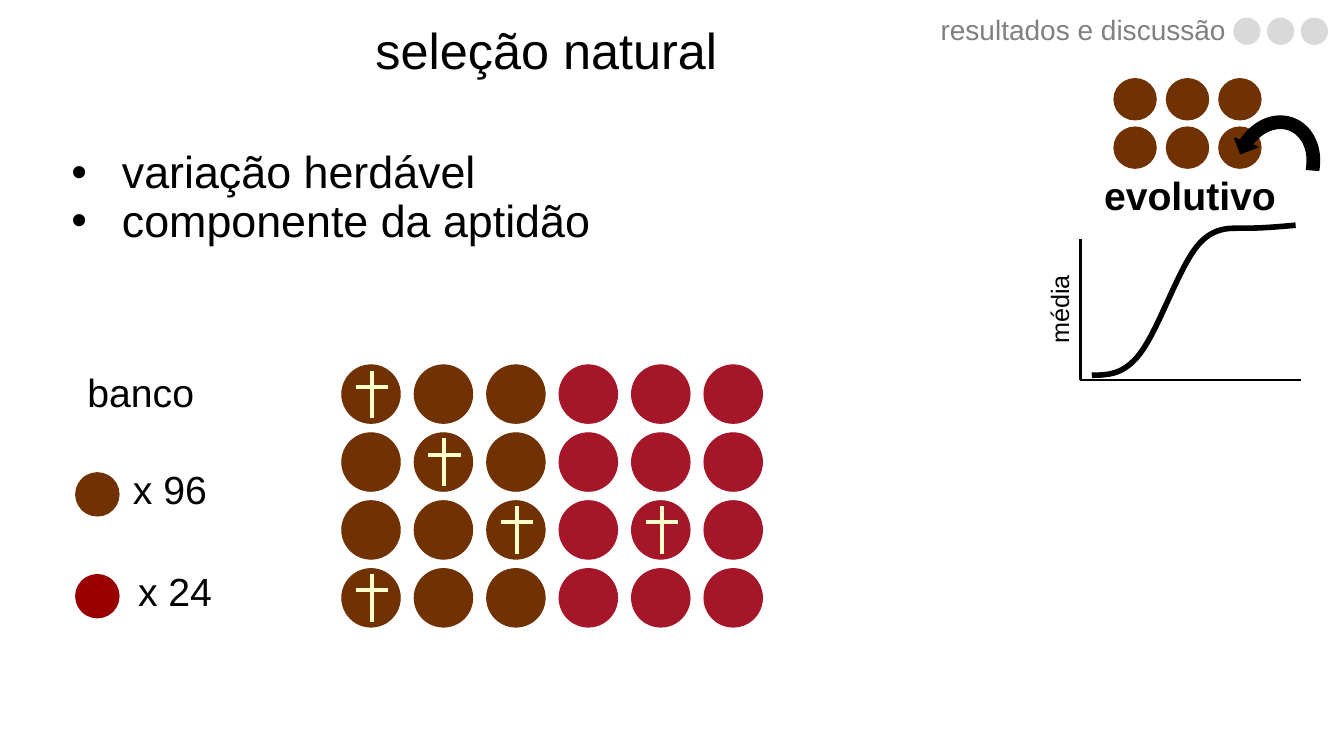
"""Build the natural selection slide on a 100 by 100 grid of columns and rows."""
from pptx import Presentation
from pptx import util as u
from pptx.chart.data import CategoryChartData
from pptx.dml.color import RGBColor
from pptx.enum import chart as ch, shapes, text
from pptx.oxml import parse_xml
from pptx.oxml.ns import nsdecls, qn

W, H = u.Inches(13.333), u.Inches(7.5)
C = {"black": "000000", "gray": "808080", "dot": "D9D9D9", "brown": "703103",
     "red": "A51628", "dark_red": "990000", "cream": "FFFFCC"}
SEED_LEFT, SEED_TOP, SEED_DX, SEED_DY = 25.43, 48.27, 5.39, 8.98
DEAD = [(0, 0), (1, 1), (2, 2), (4, 2), (0, 3)]


def rgb(name):
    return RGBColor.from_string(C[name])


def box(x, y, w, h):
    return round(x * W / 100), round(y * H / 100), round(w * W / 100), round(h * H / 100)


def shape(s, kind, place, color, width=0):
    sp = s.shapes.add_shape(kind, *box(*place))
    sp.shadow.inherit = False
    sp.fill.solid()
    sp.fill.fore_color.rgb = sp.line.color.rgb = rgb(color)
    sp.line.width = u.Pt(width)
    return sp


def dots(s, left, top, size, pitch, rows):
    for j, row in enumerate(rows):
        for i, color in enumerate(row):
            place = (left + i * pitch[0], top + j * pitch[1], *size)
            shape(s, shapes.MSO_SHAPE.OVAL, place, color)


def line(s, x1, y1, x2, y2, color="black", width=2):
    ends = box(x1, y1, x2, y2)
    cn = s.shapes.add_connector(shapes.MSO_CONNECTOR.STRAIGHT, *ends)
    cn.line.color.rgb = rgb(color)
    cn.line.width = u.Pt(width)
    cn.element.spPr.append(parse_xml(f"<a:effectLst {nsdecls('a')}/>"))


def cross(s, col, row):
    x = SEED_LEFT + col * SEED_DX + 2.25
    y = SEED_TOP + row * SEED_DY + 0.75
    line(s, x, y, x, y + 6.33, "cream", 2.83)
    line(s, x - 1.2, y + 2.13, x + 1.2, y + 2.13, "cream", 2.83)


def label(s, place, words, size=28, color="black", bold=False, align="CENTER",
          anchor="MIDDLE", spacing=0.9, rotation=0, bullet=False):
    tb = s.shapes.add_textbox(*box(*place))
    tb.rotation = rotation
    tf = tb.text_frame
    tf.word_wrap = True
    tf.vertical_anchor = text.MSO_ANCHOR[anchor]
    tf.text = words
    for p in tf.paragraphs:
        p.alignment = text.PP_ALIGN[align]
        p.line_spacing = spacing
        if bullet:
            pPr = p._p.get_or_add_pPr()
            pPr.set("marL", str(u.Inches(0.5)))
            pPr.set("indent", str(-u.Inches(0.5)))
            pPr.append(parse_xml(f'<a:buFont {nsdecls("a")} typeface="Arial"/>'))
            pPr.append(parse_xml(f'<a:buChar {nsdecls("a")} char="•"/>'))
        for r in p.runs:
            r.font.name, r.font.size, r.font.bold = "Arial", u.Pt(size), bold
            r.font.color.rgb = rgb(color)
    return tf


def curve(s, place, values):
    data = CategoryChartData()
    data.categories = [str(i + 1) for i in range(len(values))]
    data.add_series("Series 1", values)
    chart = s.shapes.add_chart(ch.XL_CHART_TYPE.LINE, *box(*place), data).chart
    chart.has_legend = chart.has_title = False
    chart.font.name, chart.font.size = "Calibri", u.Pt(10)
    chart.font.color.rgb = rgb("black")
    chart.value_axis.minimum_scale, chart.value_axis.maximum_scale = 0, 110
    chart.value_axis.has_major_gridlines = False
    chart.value_axis.visible = chart.category_axis.visible = False
    plot = chart.plots[0]
    plot.vary_by_categories = False
    ser = plot.series[0]
    ser.smooth = True
    ser.marker.style = ch.XL_MARKER_STYLE.NONE
    ser.format.line.color.rgb = rgb("black")
    ser.format.line.width = u.Pt(4)
    area = chart._chartSpace.chart.plotArea
    for old in area.findall(qn("c:layout")):
        area.remove(old)
    sides = "".join(f'<c:{k} val="{v}"/>' for k, v in
                    [("x", 0.04), ("y", 0.07), ("w", 0.94), ("h", 0.91)])
    area.insert(0, parse_xml(
        f'<c:layout {nsdecls("c")}><c:manualLayout><c:layoutTarget val="inner"/>'
        f'<c:xMode val="edge"/><c:yMode val="edge"/>{sides}</c:manualLayout></c:layout>'))


def return_arrow(s, place):
    sp = shape(s, shapes.MSO_SHAPE.CIRCULAR_ARROW, place, "black", 1)
    for i, value in enumerate([0.125, 11.42319, 204.57681, 117.73, 0.125]):
        sp.adjustments[i] = value
    sp.rotation = 200.9
    sp.element.spPr.xfrm.set("flipV", "1")


def main():
    prs = Presentation()
    prs.slide_width, prs.slide_height = W, H
    s = prs.slides.add_slide(prs.slide_layouts[6])

    dots(s, 82.88, 10.4, (3.15, 5.47), (3.9, 6.4), [["brown"] * 3] * 2)
    return_arrow(s, (91.2, 14.4, 7.35, 15.33))
    label(s, (78.15, 16.53, 20.78, 19.33), "evolutivo", bold=True)
    curve(s, (78.53, 26.13, 20.18, 24), [0, 17, 83, 98, 100])
    line(s, 80.35, 50.27, 96.8, 50.27)
    line(s, 80.4, 31.6, 80.4, 50.27)
    tf = label(s, (71.4, 37.47, 14.78, 6.93), "média", 18, anchor="TOP", spacing=1, rotation=270)
    tf.margin_left = tf.margin_right = u.Inches(0.16)
    tf.margin_top = tf.margin_bottom = u.Inches(0.11)

    label(s, (58.35, 1.07, 33.6, 6.27), "resultados e discussão", 20, "gray", align="RIGHT")
    dots(s, 91.8, 2.4, (1.95, 3.47), (2.51, 0), [["dot"] * 3])
    label(s, (24.53, 2.8, 32.25, 8.93), "seleção natural", 36, anchor="TOP")
    label(s, (4.58, 16.8, 65.33, 18.93), "variação herdável\ncomponente da aptidão", 32,
          align="LEFT", bullet=True)

    dots(s, SEED_LEFT, SEED_TOP, (4.35, 7.73), (SEED_DX, SEED_DY),
         [["brown"] * 3 + ["red"] * 3] * 4)
    dots(s, 5.63, 62.53, (3.23, 5.73), (0, 13.47), [["brown"], ["dark_red"]])
    for x, y, words in [(2.63, 68.93, "x 24"), (2.25, 55.33, "x 96"), (0.08, 42.53, "banco")]:
        label(s, (x, y, 20.78, 19.33), words)
    for col, row in DEAD:
        cross(s, col, row)
    prs.save("out.pptx")


if __name__ == "__main__":
    main()
